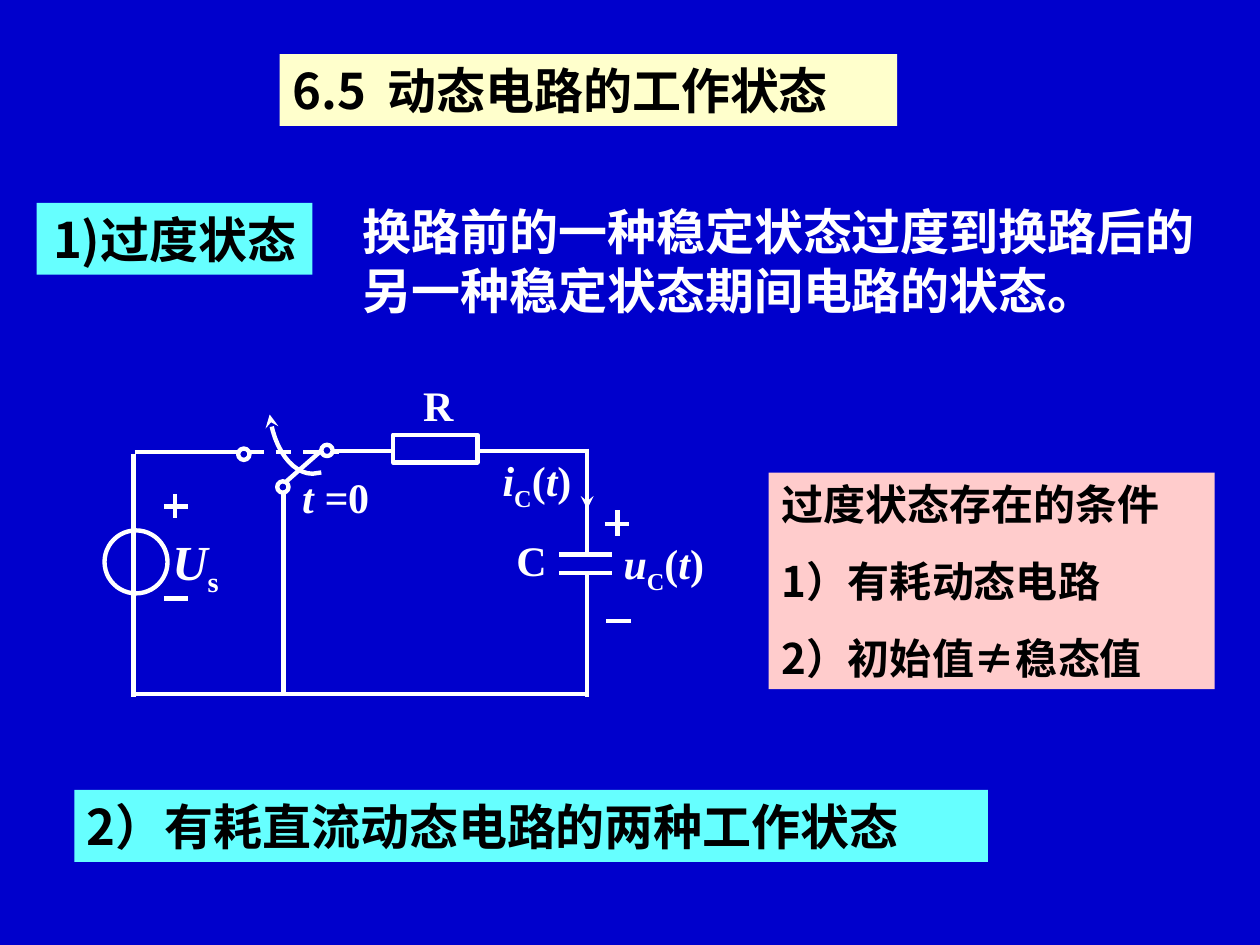
from dataclasses import dataclass
from typing import Optional

from lxml import etree
from pptx import Presentation
from pptx.dml.color import RGBColor
from pptx.enum.dml import MSO_LINE
from pptx.enum.shapes import MSO_CONNECTOR, MSO_SHAPE
from pptx.enum.text import MSO_ANCHOR, MSO_AUTO_SIZE, PP_ALIGN
from pptx.oxml.ns import qn
from pptx.util import Inches, Pt

BLUE = RGBColor(0x00, 0x00, 0xCC)
WHITE = RGBColor(0xFF, 0xFF, 0xFF)
BLACK = RGBColor(0x00, 0x00, 0x00)
CREAM = RGBColor(0xFF, 0xFF, 0xCC)
CYAN = RGBColor(0x66, 0xFF, 0xFF)
PINK = RGBColor(0xFF, 0xCC, 0xCC)

CHINESE = "Noto Sans CJK SC"
LATIN = "Times New Roman"
LEFT, CENTER = PP_ALIGN.LEFT, PP_ALIGN.CENTER
TOP = MSO_ANCHOR.TOP
NO_AUTOSIZE = MSO_AUTO_SIZE.NONE
STRAIGHT = MSO_CONNECTOR.STRAIGHT
DASH = MSO_LINE.DASH
OVAL, RECTANGLE = MSO_SHAPE.OVAL, MSO_SHAPE.RECTANGLE

FRAME_FORMAT = {"word_wrap": True, "auto_size": NO_AUTOSIZE, "vertical_anchor": TOP,
                "margin_top": Inches(0.05), "margin_bottom": Inches(0.05)}


@dataclass
class Piece:
    text: str
    italic: bool = False
    subscript: bool = False
    spacing: int = 0


@dataclass
class Panel:
    box: tuple
    paragraphs: list
    size: int = 28
    fill: Optional[RGBColor] = None
    color: RGBColor = BLACK
    font: str = CHINESE
    align: PP_ALIGN = LEFT
    margin: float = 0.1


@dataclass
class Wire:
    start: tuple
    end: tuple
    arrow: bool = False
    dash: bool = False
    width: float = 2.5


@dataclass
class Symbol:
    kind: MSO_SHAPE
    box: tuple
    filled: bool = True


def place(shape, box: tuple) -> None:
    for name, value in zip(("left", "top", "width", "height"), box):
        setattr(shape, name, Inches(value))


def write_piece(paragraph, piece: Piece, panel: Panel) -> None:
    run = paragraph.add_run()
    run.text = piece.text
    run.font.color.rgb = panel.color
    formats = {"size": Pt(panel.size), "name": panel.font, "bold": True, "italic": piece.italic}
    for name, value in formats.items():
        setattr(run.font, name, value)
    properties = run._r.get_or_add_rPr()
    etree.SubElement(properties, qn("a:ea")).set("typeface", CHINESE)
    if piece.subscript:
        properties.set("baseline", "-25000")
    if piece.spacing:
        properties.set("spc", str(piece.spacing * 100))


def fill_panel(shape, panel: Panel) -> None:
    place(shape, panel.box)
    if panel.fill is not None:
        shape.fill.solid()
        shape.fill.fore_color.rgb = panel.fill
    frame = shape.text_frame
    margins = {"margin_left": Inches(panel.margin), "margin_right": Inches(panel.margin)}
    for name, value in {**FRAME_FORMAT, **margins}.items():
        setattr(frame, name, value)
    for index, pieces in enumerate(panel.paragraphs):
        paragraph = frame.add_paragraph() if index else frame.paragraphs[0]
        properties = paragraph._p.get_or_add_pPr()
        properties.set("marL", "0")
        properties.set("indent", "0")
        etree.SubElement(properties, qn("a:buNone"))
        paragraph.alignment = panel.align
        paragraph.space_before = Pt(15 if index else 0)
        for piece in pieces:
            write_piece(paragraph, piece, panel)


def add_panel(slide, panel: Panel) -> None:
    fill_panel(slide.shapes.add_textbox(0, 0, 0, 0), panel)


def style_line(line, width: float = 2.5) -> None:
    line.color.rgb = WHITE
    line.width = Pt(width)


def add_arrowhead(line, end: str) -> None:
    etree.SubElement(line._get_or_add_ln(), qn(end)).set("type", "stealth")


def draw_wire(slide, wire: Wire) -> None:
    points = [Inches(value) for value in (*wire.start, *wire.end)]
    connector = slide.shapes.add_connector(STRAIGHT, *points)
    style_line(connector.line, wire.width)
    if wire.dash:
        connector.line.dash_style = DASH
    if wire.arrow:
        add_arrowhead(connector.line, "a:tailEnd")
    etree.SubElement(connector._element.spPr, qn("a:effectLst"))


def draw_symbol(slide, symbol: Symbol) -> None:
    shape = slide.shapes.add_shape(symbol.kind, 0, 0, 0, 0)
    place(shape, symbol.box)
    shape.shadow.inherit = False
    if symbol.filled:
        shape.fill.solid()
        shape.fill.fore_color.rgb = BLUE
    else:
        shape.fill.background()
    style_line(shape.line)


def bezier(points: list, steps: int = 12) -> list:
    curve = []
    for step in range(steps + 1):
        t = step / steps
        weights = ((1 - t) ** 3, 3 * t * (1 - t) ** 2, 3 * t * t * (1 - t), t ** 3)
        curve.append(tuple(sum(w * p[axis] for w, p in zip(weights, points)) for axis in (0, 1)))
    return curve


def draw_switch_arrow(slide) -> None:
    curve = bezier([(2.14, 3.29), (2.17, 3.56), (2.32, 3.76), (2.48, 3.76)]) + [(2.55, 3.75)]
    points = [(Inches(x), Inches(y)) for x, y in curve]
    builder = slide.shapes.build_freeform(*points[0])
    builder.add_line_segments(points[1:], close=False)
    arrow = builder.convert_to_shape()
    arrow.shadow.inherit = False
    arrow.fill.background()
    style_line(arrow.line)
    add_arrowhead(arrow.line, "a:headEnd")


def label(box: tuple, *pieces: Piece, size: int = 24) -> Panel:
    return Panel(box, [pieces], size, color=WHITE, font=LATIN)


def function_of_time(name: str) -> list:
    return [Piece(name, italic=True), Piece("C", subscript=True), Piece("("),
            Piece("t", italic=True), Piece(")")]


TITLE = Panel((2.22, 0.43, 4.9, 0.57),
              [[Piece("6.5"), Piece(" ", spacing=6), Piece("动态电路的工作状态")]], fill=CREAM)
CONDITIONS = Panel(
    (6.1, 3.75, 3.54, 1.72),
    [[Piece(text)] for text in ("过度状态存在的条件", "1）有耗动态电路", "2）初始值≠稳态值")],
    size=24, fill=PINK)
PANELS = [
    Panel((0.29, 1.61, 2.19, 0.57), [[Piece("1)过度状态")]], fill=CYAN, align=CENTER, margin=0),
    Panel((2.78, 1.55, 7.02, 1.04),
          [[Piece("换路前的一种稳定状态过度到换路后的另一种稳定状态期间电路的状态。")]], color=WHITE),
    Panel((0.59, 6.27, 7.25, 0.57), [[Piece("2）有耗直流动态电路的两种工作状态")]], fill=CYAN),
]
WIRES = [
    Wire((1.3, 4.02), (1.49, 4.02)), Wire((1.39, 3.92), (1.39, 4.11)),
    Wire((1.3, 4.75), (1.49, 4.75)), Wire((1.06, 5.51), (4.66, 5.51)),
    Wire((1.06, 3.6), (1.06, 5.53)), Wire((2.25, 3.88), (2.25, 5.51)),
    Wire((1.07, 3.59), (1.98, 3.59)), Wire((2.24, 3.85), (2.58, 3.55)),
    Wire((2.61, 3.58), (4.66, 3.58)), Wire((4.44, 4.4), (4.86, 4.4)),
    Wire((4.44, 4.55), (4.86, 4.55)), Wire((4.66, 3.56), (4.66, 4.38)),
    Wire((4.66, 4.55), (4.66, 5.53)), Wire((4.8, 4.16), (4.99, 4.16)),
    Wire((4.9, 4.05), (4.9, 4.25)), Wire((4.81, 4.93), (5.01, 4.93)),
    Wire((4.66, 3.7), (4.66, 4.04), arrow=True),
    Wire((1.97, 3.59), (2.69, 3.59), dash=True, width=2.25),
]
SYMBOLS = [Symbol(OVAL, (0.83, 4.21, 0.5, 0.5), filled=False),
           Symbol(RECTANGLE, (3.12, 3.45, 0.67, 0.22))]
SYMBOLS += [Symbol(OVAL, (x, y, 0.09, 0.09)) for x, y in ((1.89, 3.56), (2.2, 3.82), (2.55, 3.53))]
LABELS = [
    label((1.27, 4.17, 0.67, 0.63), Piece("U", italic=True), Piece("s", subscript=True), size=28),
    label((3.26, 2.96, 0.5, 0.5), Piece("R")),
    label((2.3, 3.69, 0.8, 0.5), Piece("t =", italic=True), Piece("0")),
    label((4, 4.19, 0.57, 0.5), Piece("C")),
    label((4.85, 4.22, 0.99, 0.56), *function_of_time("u")),
    label((3.89, 3.56, 0.81, 0.56), *function_of_time("i")),
]


def main() -> None:
    presentation = Presentation()
    presentation.slide_width, presentation.slide_height = Inches(10), Inches(7.5)
    slide = presentation.slides.add_slide(presentation.slide_layouts[1])
    slide.background.fill.solid()
    slide.background.fill.fore_color.rgb = BLUE
    fill_panel(slide.shapes.title, TITLE)
    fill_panel(slide.placeholders[1], CONDITIONS)
    for draw, items in ((add_panel, PANELS), (draw_wire, WIRES),
                        (draw_symbol, SYMBOLS), (add_panel, LABELS)):
        for item in items:
            draw(slide, item)
    draw_switch_arrow(slide)
    presentation.save("out.pptx")


if __name__ == "__main__":
    main()
